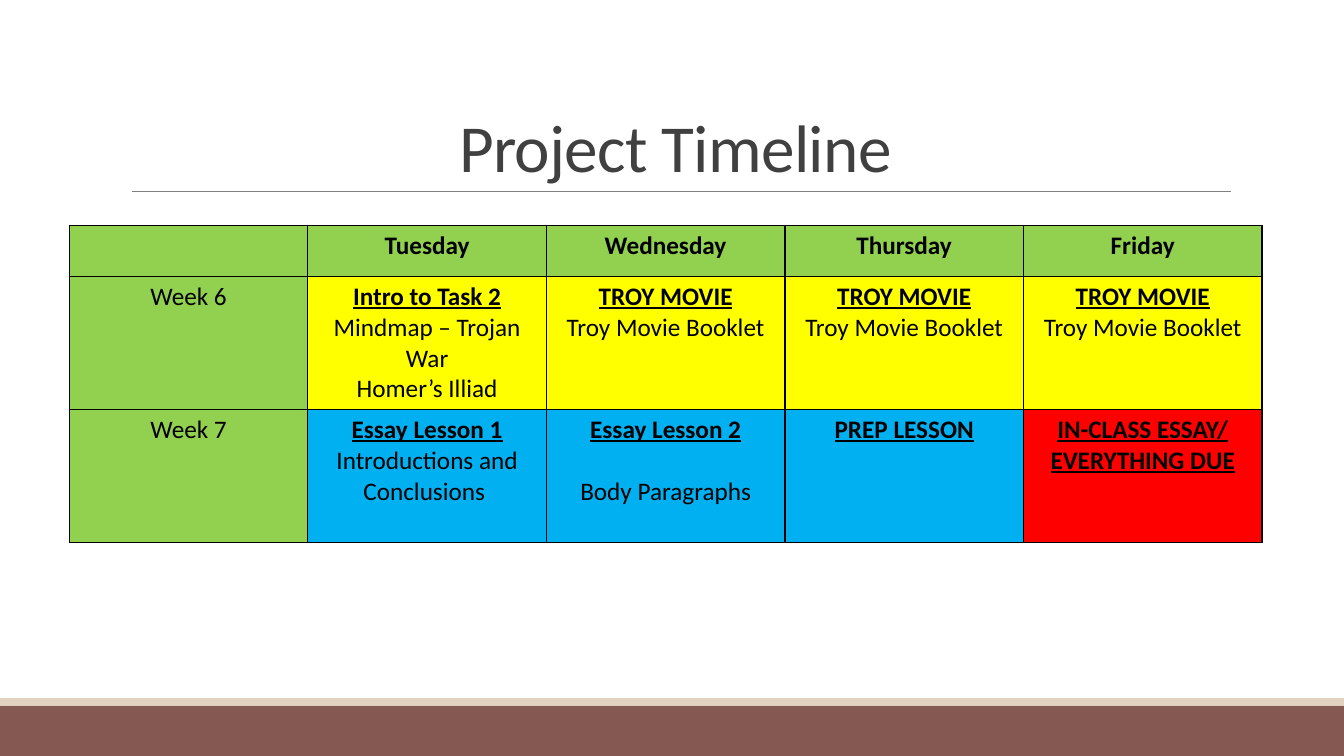
import pptx
import pptx.util
import pptx.dml.color
import pptx.enum.shapes
import pptx.enum.text
import pptx.oxml
from lxml import etree

Pt = pptx.util.Pt
RGBColor = pptx.dml.color.RGBColor

COLORS = {
    "green": "92D050", "yellow": "FFFF00", "blue": "00B0F0", "red": "FF0000",
    "black": "000000", "title": "404040", "rule": "808080",
    "footer": "865852", "stripe": "E1D2BF",
}
TITLE = "Project Timeline"
HEADERS = ["", "Tuesday", "Wednesday", "Thursday", "Friday"]
MOVIE = ("yellow", ["TROY MOVIE"], ["Troy Movie Booklet"], 0)
# Each lesson: fill, underlined headings, details, space above the details
WEEKS = [
    ("Week 6", [
        ("yellow", ["Intro to Task 2"], ["Mindmap – Trojan War", "Homer’s Illiad"], 0),
        MOVIE, MOVIE, MOVIE,
    ]),
    ("Week 7", [
        ("blue", ["Essay Lesson 1"], ["Introductions and Conclusions "], 0),
        ("blue", ["Essay Lesson 2"], ["Body Paragraphs"], 22),
        ("blue", ["PREP LESSON"], [], 0),
        ("red", ["IN-CLASS ESSAY/", "EVERYTHING DUE"], [], 0),
    ]),
]
FONT = "Calibri"
SLIDE_WIDTH, SLIDE_HEIGHT = 960, 540
FOOTER_TOP, STRIPE_HEIGHT = 504, 5.3
RULE_LEFT, RULE_RIGHT, RULE_TOP = 94.3, 879.1, 136.8
TABLE_LEFT, TABLE_TOP = 49.5, 161
COLUMN_WIDTH, HEADER_HEIGHT, WEEK_HEIGHT = 170.4, 36.5, 95


def color(name):
    return RGBColor.from_string(COLORS[name])


def add_band(slide, top, height, fill):
    band = slide.shapes.add_shape(pptx.enum.shapes.MSO_SHAPE.RECTANGLE,
                                  0, Pt(top), Pt(SLIDE_WIDTH), Pt(height))
    band.shadow.inherit = False
    band.fill.solid()
    band.fill.fore_color.rgb = color(fill)
    band.line.fill.background()


def add_rule(slide):
    rule = slide.shapes.add_connector(
        pptx.enum.shapes.MSO_CONNECTOR.STRAIGHT,
        Pt(RULE_LEFT), Pt(RULE_TOP), Pt(RULE_RIGHT), Pt(RULE_TOP))
    rule.line.color.rgb = color("rule")
    rule.line.width = Pt(0.5)
    etree.SubElement(rule._element.spPr, pptx.oxml.ns.qn("a:effectLst"))


def style_paragraph(paragraph, text, size, color_name, bold=False, underline=False):
    paragraph.text = text
    paragraph.alignment = pptx.enum.text.PP_ALIGN.CENTER
    font = paragraph.font
    font.name, font.size = FONT, Pt(size)
    font.bold, font.underline = bold, underline
    font.color.rgb = color(color_name)


def add_title(slide):
    box = slide.shapes.add_textbox(Pt(86.4), Pt(22.5), Pt(792), Pt(114.3))
    frame = box.text_frame
    frame.word_wrap = True
    frame.vertical_anchor = pptx.enum.text.MSO_ANCHOR.BOTTOM
    paragraph = frame.paragraphs[0]
    style_paragraph(paragraph, TITLE, 48, "title")
    paragraph.line_spacing = 0.85
    paragraph.runs[0]._r.get_or_add_rPr().set("spc", "-50")


def add_borders(cell):
    properties = cell._tc.get_or_add_tcPr()
    for index, side in enumerate(("lnL", "lnR", "lnT", "lnB")):
        border = pptx.oxml.parse_xml(
            f'<a:{side} {pptx.oxml.ns.nsdecls("a")} w="{Pt(1)}"><a:solidFill>'
            f'<a:srgbClr val="{COLORS["black"]}"/></a:solidFill></a:{side}>')
        properties.insert(index, border)


def fill_cell(cell, fill, lines, gap=0):
    """Write lines of (text, bold, underline), with a gap above the first plain one after a heading."""
    cell.fill.solid()
    cell.fill.fore_color.rgb = color(fill)
    add_borders(cell)
    frame = cell.text_frame
    for index, (text, bold, underline) in enumerate(lines):
        paragraph = frame.add_paragraph() if index else frame.paragraphs[0]
        style_paragraph(paragraph, text, 18, "black", bold, underline)
        if gap and index and not bold:
            paragraph.space_before = Pt(gap)
            gap = 0


def add_timeline(slide):
    frame = slide.shapes.add_table(
        len(WEEKS) + 1, len(HEADERS), Pt(TABLE_LEFT), Pt(TABLE_TOP),
        Pt(COLUMN_WIDTH * len(HEADERS)), Pt(HEADER_HEIGHT + WEEK_HEIGHT * len(WEEKS)))
    table = frame.table
    for column in table.columns:
        column.width = Pt(COLUMN_WIDTH)
    for index, row in enumerate(table.rows):
        row.height = Pt(WEEK_HEIGHT if index else HEADER_HEIGHT)
    for column, header in enumerate(HEADERS):
        fill_cell(table.cell(0, column), "green", [(header, True, False)])
    for row, (week, lessons) in enumerate(WEEKS, 1):
        fill_cell(table.cell(row, 0), "green", [(week, False, False)])
        for column, (fill, headings, details, gap) in enumerate(lessons, 1):
            lines = [(text, True, True) for text in headings]
            lines += [(text, False, False) for text in details]
            fill_cell(table.cell(row, column), fill, lines, gap)


def main():
    presentation = pptx.Presentation()
    presentation.slide_width, presentation.slide_height = Pt(SLIDE_WIDTH), Pt(SLIDE_HEIGHT)
    slide = presentation.slides.add_slide(presentation.slide_layouts[6])
    add_band(slide, FOOTER_TOP, SLIDE_HEIGHT - FOOTER_TOP, "footer")
    add_band(slide, FOOTER_TOP - STRIPE_HEIGHT, STRIPE_HEIGHT, "stripe")
    add_rule(slide)
    add_title(slide)
    add_timeline(slide)
    presentation.save("out.pptx")


if __name__ == "__main__":
    main()
